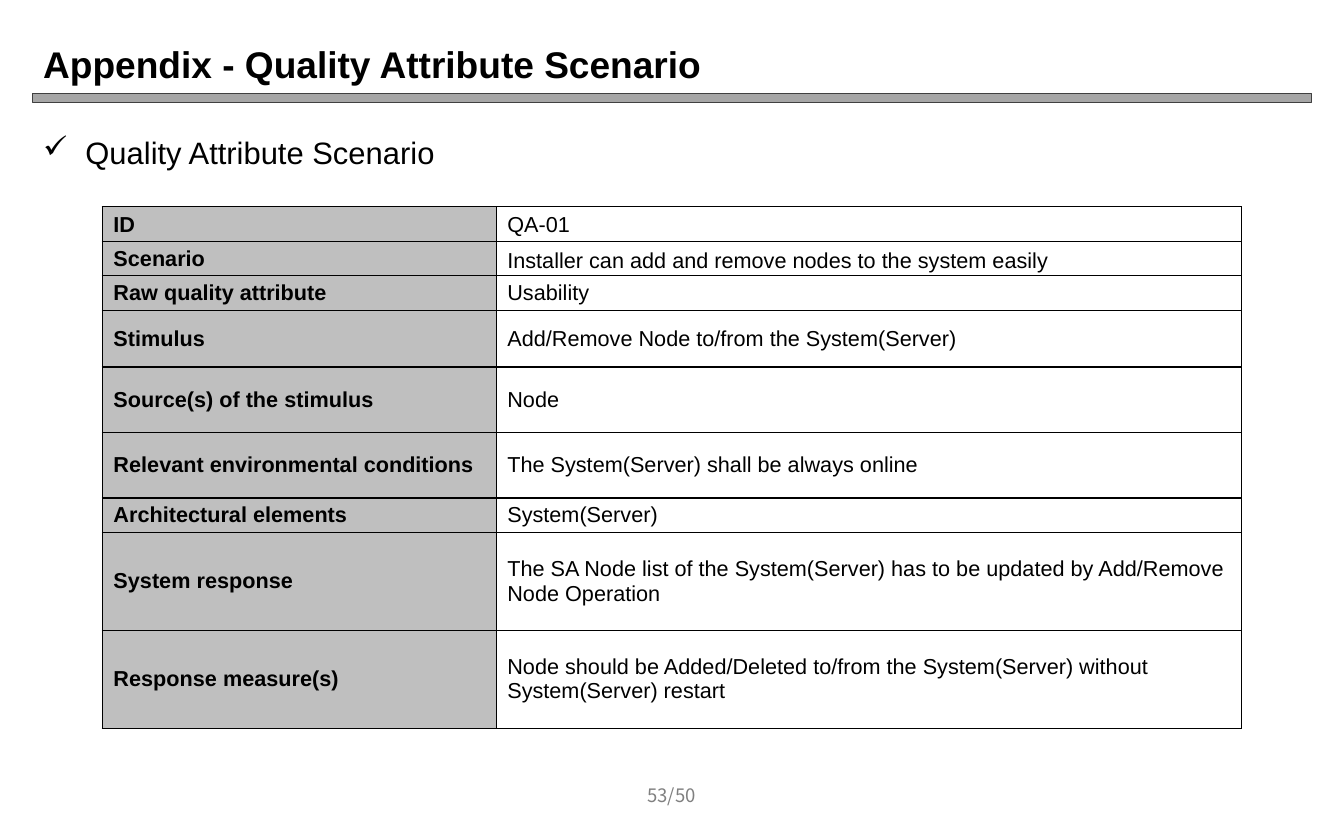
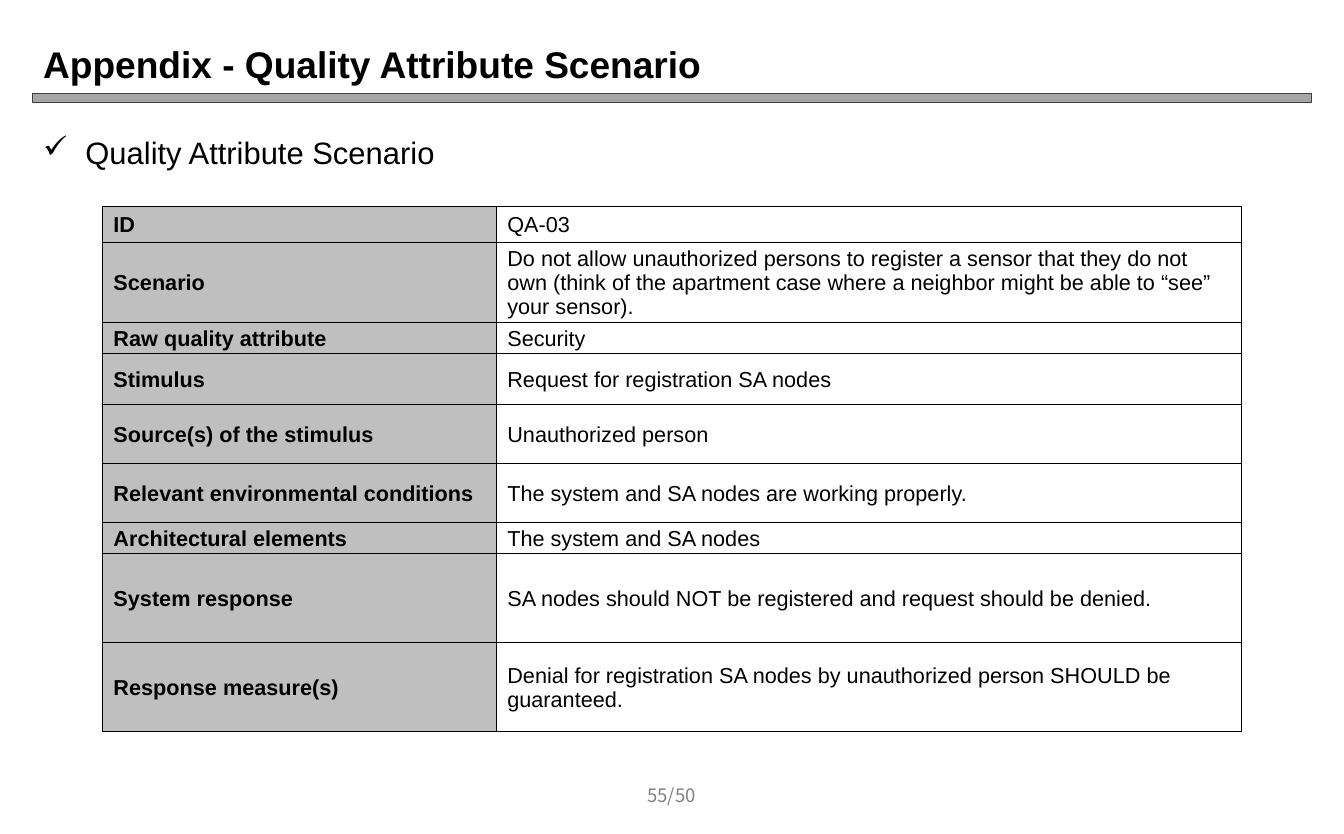
from lxml import etree
from pptx import Presentation
from pptx.dml.color import RGBColor
from pptx.enum.shapes import MSO_SHAPE
from pptx.enum.text import MSO_ANCHOR, PP_ALIGN
from pptx.oxml.ns import qn
from pptx.util import Inches, Pt

BLACK = RGBColor(0x00, 0x00, 0x00)
BAND = RGBColor(0xA6, 0xA6, 0xA6)
BAND_LINE = RGBColor(0x40, 0x40, 0x40)
LABEL_FILL = RGBColor(0xBF, 0xBF, 0xBF)
PAGE_GRAY = RGBColor(0x80, 0x80, 0x80)
FONT = "Arial"
PAGE_FONT = "Noto Sans CJK KR"

TITLE = "Appendix - Quality Attribute Scenario"
HEADING = "Quality Attribute Scenario"
LABELS = [
    "ID",
    "Scenario",
    "Raw quality attribute",
    "Stimulus",
    "Source(s) of the stimulus",
    "Relevant environmental conditions",
    "Architectural elements",
    "System response",
    "Response measure(s)",
]
COLUMNS = (3.54, 6.7)
SCENARIOS = [
    {
        "page": "53/50",
        "inset": 0,
        "spacing": {"Scenario": 1.15},
        "heights": (0.31, 0.31, 0.31, 0.51, 0.59, 0.59, 0.31, 0.88, 0.88),
        "values": [
            "QA-01",
            "Installer can add and remove nodes to the system easily",
            "Usability",
            "Add/Remove Node to/from the System(Server)",
            "Node",
            "The System(Server) shall be always online",
            "System(Server)",
            "The SA Node list of the System(Server) has to be updated by Add/Remove Node Operation",
            "Node should be Added/Deleted to/from the System(Server) without System(Server) restart",
        ],
    },
    {
        "page": "55/50",
        "inset": 0.01,
        "spacing": {},
        "heights": (0.32, 0.72, 0.28, 0.46, 0.53, 0.53, 0.28, 0.8, 0.8),
        "values": [
            "QA-03",
            "Do not allow unauthorized persons to register a sensor that they do not own "
            "(think of the apartment case where a neighbor might be able to “see” your sensor).",
            "Security",
            "Request for registration SA nodes",
            "Unauthorized person",
            "The system and SA nodes are working properly.",
            "The system and SA nodes",
            "SA nodes should NOT be registered and request should be denied.",
            "Denial for registration SA nodes by unauthorized person SHOULD be guaranteed.",
        ],
    },
]


def add_run(p, content, size, color=BLACK, bold=False, font=FONT):
    r = p.add_run()
    r.text = content
    r.font.size = Pt(size)
    r.font.name = font
    r.font.bold = bold
    r.font.color.rgb = color
    ea = etree.SubElement(r.font._element, qn("a:ea"))
    ea.set("typeface", font)


def add_text(s, box, content, size, anchor=MSO_ANCHOR.MIDDLE, align=PP_ALIGN.LEFT, **style):
    tf = s.shapes.add_textbox(*map(Inches, box)).text_frame
    tf.word_wrap = True
    tf.vertical_anchor = anchor
    p = tf.paragraphs[0]
    p.alignment = align
    add_run(p, content, size, **style)
    return p


def add_check(p, indent):
    pPr = p._p.get_or_add_pPr()
    pPr.set("marL", str(Inches(indent)))
    pPr.set("indent", str(-Inches(indent)))
    etree.SubElement(pPr, qn("a:buChar")).set("char", "✓")


def add_borders(cell):
    tcPr = cell._tc.get_or_add_tcPr()
    for side in ("a:lnL", "a:lnR", "a:lnT", "a:lnB"):
        ln = etree.SubElement(tcPr, qn(side), w=str(Pt(1)))
        fill = etree.SubElement(ln, qn("a:solidFill"))
        etree.SubElement(fill, qn("a:srgbClr"), val=str(BLACK))


def add_frame(s, page):
    band = s.shapes.add_shape(MSO_SHAPE.FLOWCHART_PROCESS, *map(Inches, (0.29, 0.84, 11.5, 0.08)))
    band.shadow.inherit = False
    band.fill.solid()
    band.fill.fore_color.rgb = BAND
    band.line.color.rgb = BAND_LINE
    band.line.width = Pt(0.75)
    add_text(s, (0.29, 0.3, 11.5, 0.54), TITLE, 24, bold=True)
    add_text(s, (5.49, 6.95, 1.09, 0.4), page, 12, align=PP_ALIGN.CENTER,
             color=PAGE_GRAY, font=PAGE_FONT)


def fill_cell(cell, content, inset, is_label, spacing):
    cell.margin_left = cell.margin_right = Inches(0.1)
    cell.margin_top = Inches(inset)
    cell.margin_bottom = 0
    cell.vertical_anchor = MSO_ANCHOR.MIDDLE
    add_borders(cell)
    if is_label:
        cell.fill.solid()
        cell.fill.fore_color.rgb = LABEL_FILL
    else:
        cell.fill.background()
    p = cell.text_frame.paragraphs[0]
    if spacing:
        p.line_spacing = spacing
    add_run(p, content, 14, bold=is_label)


def add_scenario_table(s, scenario):
    heights = scenario["heights"]
    box = (0.92, 1.86, sum(COLUMNS), sum(heights))
    table = s.shapes.add_table(len(LABELS), len(COLUMNS), *map(Inches, box)).table
    table.first_row = table.horz_banding = False
    for column, width in zip(table.columns, COLUMNS):
        column.width = Inches(width)
    for i, (label, value) in enumerate(zip(LABELS, scenario["values"])):
        table.rows[i].height = Inches(heights[i])
        inset = 0.01 if i < 2 else scenario["inset"]
        fill_cell(table.cell(i, 0), label, inset, True, None)
        fill_cell(table.cell(i, 1), value, inset, False, scenario["spacing"].get(label))


def main():
    prs = Presentation()
    prs.slide_width, prs.slide_height = Inches(12.08), Inches(7.5)
    for scenario in SCENARIOS:
        s = prs.slides.add_slide(prs.slide_layouts[6])
        add_frame(s, scenario["page"])
        p = add_text(s, (0.29, 1.15, 11.5, 0.5), HEADING, 20, anchor=MSO_ANCHOR.TOP)
        add_check(p, 0.38)
        add_scenario_table(s, scenario)
    prs.save("out.pptx")


if __name__ == "__main__":
    main()
